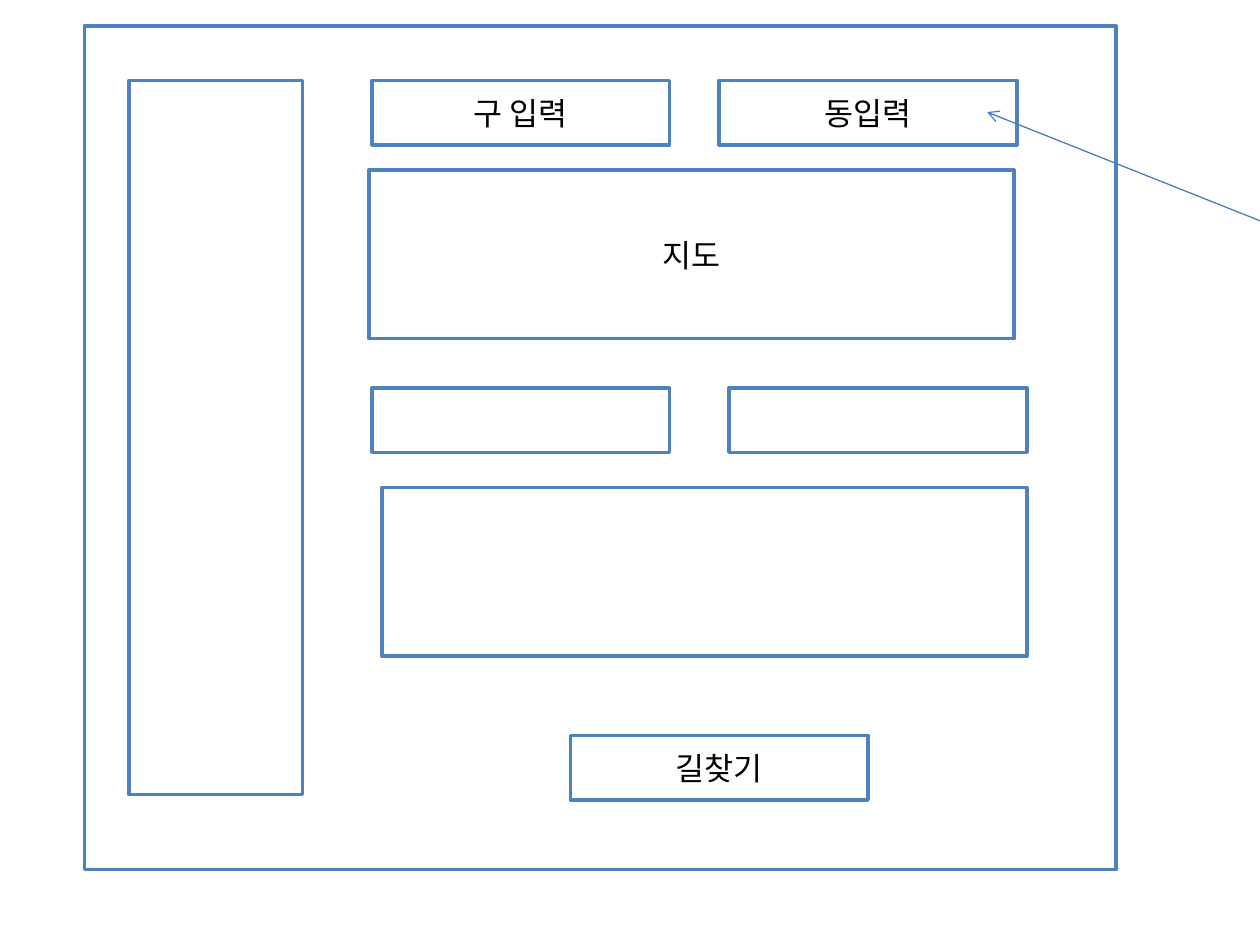
from lxml.etree import SubElement
from pptx import Presentation
from pptx.dml.color import RGBColor
from pptx.enum.shapes import MSO_CONNECTOR as LINE, MSO_SHAPE as SHAPE
from pptx.enum.text import MSO_ANCHOR as ANCHOR, PP_ALIGN as ALIGN
from pptx.oxml.ns import qn
from pptx.util import Cm, Pt

BLUE = RGBColor(0x4F, 0x81, 0xBD)
ARROW = RGBColor(0x4B, 0x7E, 0xBC)
BLACK = RGBColor(0, 0, 0)
FONT = "Noto Sans CJK KR"

deck = Presentation()
deck.slide_width, deck.slide_height = Cm(25.4), Cm(19.05)
slide = deck.slides.add_slide(deck.slide_layouts[6])


def add_box(left, top, size, label=""):
    box = slide.shapes.add_shape(
        SHAPE.RECTANGLE, Cm(left), Cm(top), Cm(size[0]), Cm(size[1]))
    box.shadow.inherit = False
    box.fill.background()
    box.line.color.rgb = BLUE
    box.line.width = Pt(2)
    if label:
        frame = box.text_frame
        frame.vertical_anchor = ANCHOR.MIDDLE
        para = frame.paragraphs[0]
        para.alignment = ALIGN.CENTER
        run = para.add_run()
        run.text = label
        run.font.size = Pt(18)
        run.font.name = FONT
        run.font.color.rgb = BLACK
        SubElement(run.font._element, qn("a:ea"), typeface=FONT)


# Box sizes in cm: fields share one size, panels another
FIELD = (6, 1.3)
PANEL = (13, 3.4)
TOP = 1.62
MID = 7.82

# Page frame
add_box(1.7, 0.53, (20.8, 17))

# Input fields, two rows
add_box(7.5, TOP, FIELD, "구 입력")
add_box(7.5, MID, FIELD)
add_box(14.5, TOP, FIELD, "동입력")
add_box(14.7, MID, FIELD)

# Map panel and result panel
add_box(7.44, 3.43, PANEL, "지도")
add_box(7.7, 9.83, PANEL)

# Arrow coming in from the right edge
arrow = slide.shapes.add_connector(
    LINE.STRAIGHT, Cm(25.7), Cm(4.57), Cm(19.9), Cm(2.26))
arrow.line.color.rgb = ARROW
arrow.line.width = Pt(0.75)
SubElement(arrow.line._get_or_add_ln(), qn("a:tailEnd"), type="arrow")
SubElement(arrow._element.spPr, qn("a:effectLst"))

# Route button and side bar
add_box(11.5, 14.83, FIELD, "길찾기")
add_box(2.6, TOP, (3.5, 14.4))

deck.save("out.pptx")
